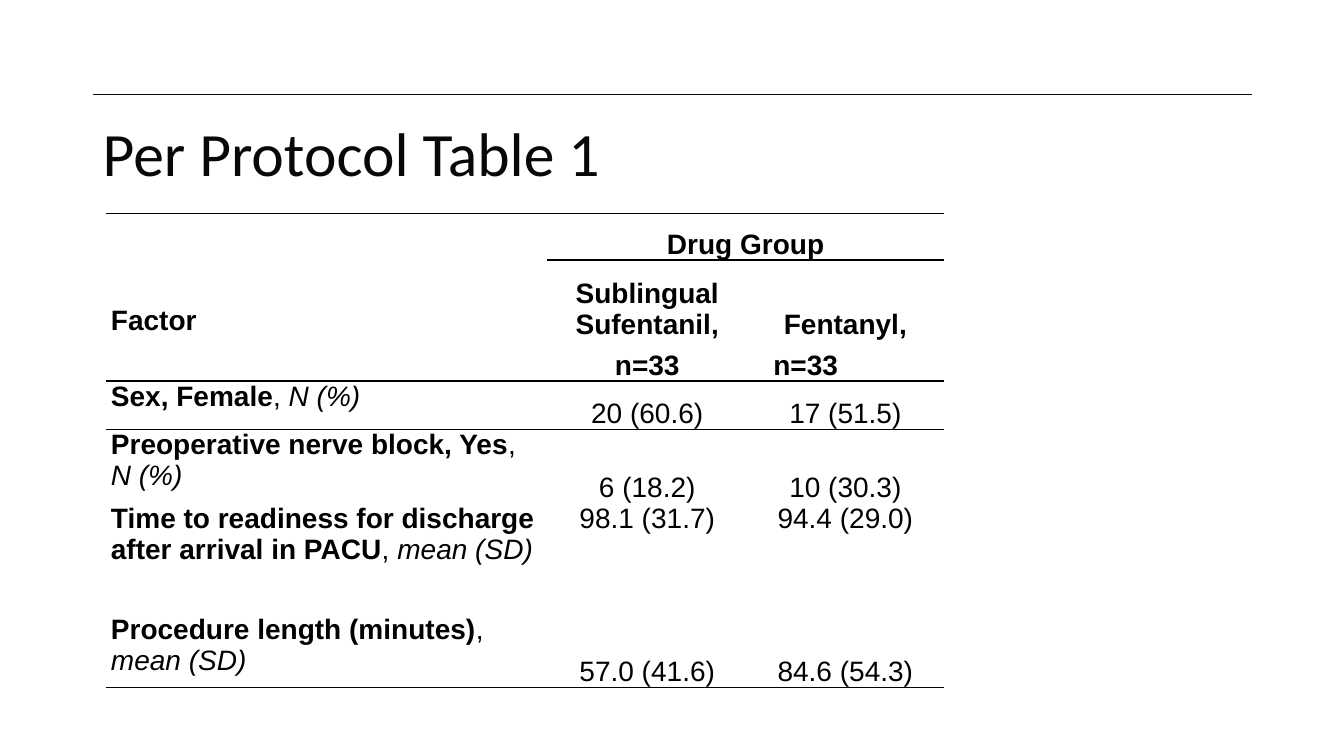
from dataclasses import dataclass

from lxml import etree
from pptx import Presentation
from pptx.dml.color import RGBColor
from pptx.enum.shapes import MSO_CONNECTOR
from pptx.enum.text import MSO_ANCHOR, PP_ALIGN
from pptx.oxml.ns import qn
from pptx.util import Inches, Pt

STRAIGHT = MSO_CONNECTOR.STRAIGHT
TOP, MIDDLE, BOTTOM = MSO_ANCHOR.TOP, MSO_ANCHOR.MIDDLE, MSO_ANCHOR.BOTTOM
LEFT, CENTER = PP_ALIGN.LEFT, PP_ALIGN.CENTER
NO_STYLE = "{2D5ABB26-0587-4C30-8999-92F81FD0307C}"


@dataclass(frozen=True)
class Theme:
    ink: str = "080808"
    black: str = "000000"
    white: str = "FFFFFF"
    title_font: str = "Calibri"
    table_font: str = "Arial"
    title_size: int = 44
    table_size: int = 20
    rule_width: int = 1


THEME = Theme()

COLUMN_WIDTHS = (4.38, 1.98, 1.95)
ROW_HEIGHTS = (0.46, 1.2, 0.48, 0.73, 1.1, 0.73)
HEADER_ROWS = 2

# Factor, statistic, sufentanil value, fentanyl value
OUTCOMES = (
    ("Sex, Female", "N (%)", "20 (60.6)", "17 (51.5)"),
    ("Preoperative nerve block, Yes", "N (%)", "6 (18.2)", "10 (30.3)"),
    ("Time to readiness for discharge after arrival in PACU", "mean (SD)",
     "98.1 (31.7)", "94.4 (29.0)"),
    ("Procedure length (minutes)", "mean (SD)", "57.0 (41.6)", "84.6 (54.3)"),
)
TOP_ALIGNED_OUTCOME = 2


def style_run(run, font, size, color, bold=False, italic=False):
    run.font.name = font
    run.font.size = Pt(size)
    run.font.color.rgb = RGBColor.from_string(color)
    run.font.bold = bold
    run.font.italic = italic


def write_paragraph(paragraph, parts, align=LEFT, before=3.4, after=3.4):
    """Write (text, bold, italic) parts as one table paragraph."""
    paragraph.alignment = align
    paragraph.space_before = Pt(before)
    paragraph.space_after = Pt(after)
    for text, bold, italic in parts:
        run = paragraph.add_run()
        run.text = text
        style_run(run, THEME.table_font, THEME.table_size, THEME.black, bold, italic)


def set_border(cell, side):
    """Draw a rule on one side of a cell: lnT or lnB."""
    properties = cell._tc.get_or_add_tcPr()
    line = etree.Element(qn(f"a:{side}"), w=str(Pt(THEME.rule_width)))
    fill = etree.SubElement(line, qn("a:solidFill"))
    etree.SubElement(fill, qn("a:srgbClr"), val=THEME.black)
    properties.insert(0, line)


def add_title(slide, left, top, width, height):
    # Rule above the title
    rule_top = top - Inches(0.06)
    rule = slide.shapes.add_connector(STRAIGHT, left, rule_top, left + width, rule_top)
    rule.line.color.rgb = RGBColor.from_string(THEME.ink)
    rule.line.width = Pt(THEME.rule_width)
    etree.SubElement(rule._element.spPr, qn("a:effectLst"))

    # Title text
    title = slide.shapes.add_textbox(left, top, width, height).text_frame
    title.word_wrap = True
    title.vertical_anchor = MIDDLE
    title.text = "Per Protocol Table 1"
    heading = title.paragraphs[0]
    heading.line_spacing = 0.9
    style_run(heading.runs[0], THEME.title_font, THEME.title_size, THEME.ink)


def fill_header(table):
    drug_group = table.cell(0, 1)
    drug_group.merge(table.cell(0, 2))
    drug_group.vertical_anchor = BOTTOM
    write_paragraph(drug_group.text_frame.paragraphs[0],
                    [("Drug Group", True, False)], CENTER)

    factor = table.cell(1, 0)
    factor.vertical_anchor = MIDDLE
    write_paragraph(factor.text_frame.paragraphs[0],
                    [("Factor", True, False)], before=0, after=0)

    for column, drug in enumerate(("Sublingual Sufentanil,", "Fentanyl,"), start=1):
        cell = table.cell(1, column)
        cell.vertical_anchor = BOTTOM
        write_paragraph(cell.text_frame.paragraphs[0], [(drug, True, False)], CENTER)
        count = cell.text_frame.add_paragraph()
        write_paragraph(count, [("n=33", True, False)], CENTER)

    # The fentanyl count sits left of its column's centre
    count.alignment = LEFT
    count._p.get_or_add_pPr().set("marL", str(Inches(0.21)))


def fill_outcomes(table):
    for index, (factor, statistic, *values) in enumerate(OUTCOMES):
        row = index + HEADER_ROWS
        write_paragraph(table.cell(row, 0).text_frame.paragraphs[0],
                        [(factor, True, False), (", ", False, False),
                         (statistic, False, True)])
        at_top = index == TOP_ALIGNED_OUTCOME
        before, after = (0, 6) if at_top else (1, 2)
        for column, value in enumerate(values, start=1):
            cell = table.cell(row, column)
            cell.vertical_anchor = TOP if at_top else BOTTOM
            write_paragraph(cell.text_frame.paragraphs[0],
                            [(value, False, False)], CENTER, before, after)


def add_outcome_table(slide, left, top, width, height):
    frame = slide.shapes.add_table(len(ROW_HEIGHTS), len(COLUMN_WIDTHS),
                                   left, top, width, height)
    table = frame.table
    table.first_row = table.horz_banding = False
    table._tbl.tblPr.find(qn("a:tableStyleId")).text = NO_STYLE
    for column, column_width in zip(table.columns, COLUMN_WIDTHS):
        column.width = Inches(column_width)
    for row, row_height in zip(table.rows, ROW_HEIGHTS):
        row.height = Inches(row_height)

    # Margins, fills and rules
    last_row = len(ROW_HEIGHTS) - 1
    for r, row in enumerate(table.rows):
        for c, cell in enumerate(row.cells):
            cell.margin_left = cell.margin_right = Inches(0.05)
            cell.margin_top = cell.margin_bottom = 0
            if r < HEADER_ROWS:
                cell.fill.solid()
                cell.fill.fore_color.rgb = RGBColor.from_string(THEME.white)
            else:
                cell.fill.background()
            under_drug_group = c > 0
            if r in (1, last_row) or (r == 0 and under_drug_group):
                set_border(cell, "lnB")
            if r in (0, HEADER_ROWS) or (r == 1 and under_drug_group):
                set_border(cell, "lnT")

    fill_header(table)
    fill_outcomes(table)


def main():
    presentation = Presentation()
    presentation.slide_width = Inches(13.33)
    presentation.slide_height = Inches(7.5)
    slide = presentation.slides.add_slide(presentation.slide_layouts[6])
    slide.background.fill.solid()
    slide.background.fill.fore_color.rgb = RGBColor.from_string(THEME.white)

    add_title(slide, Inches(0.92), Inches(1), Inches(11.5), Inches(1.11))
    add_outcome_table(slide, Inches(1.05), Inches(2.12),
                      Inches(sum(COLUMN_WIDTHS)), Inches(sum(ROW_HEIGHTS)))
    presentation.save("out.pptx")


if __name__ == "__main__":
    main()
